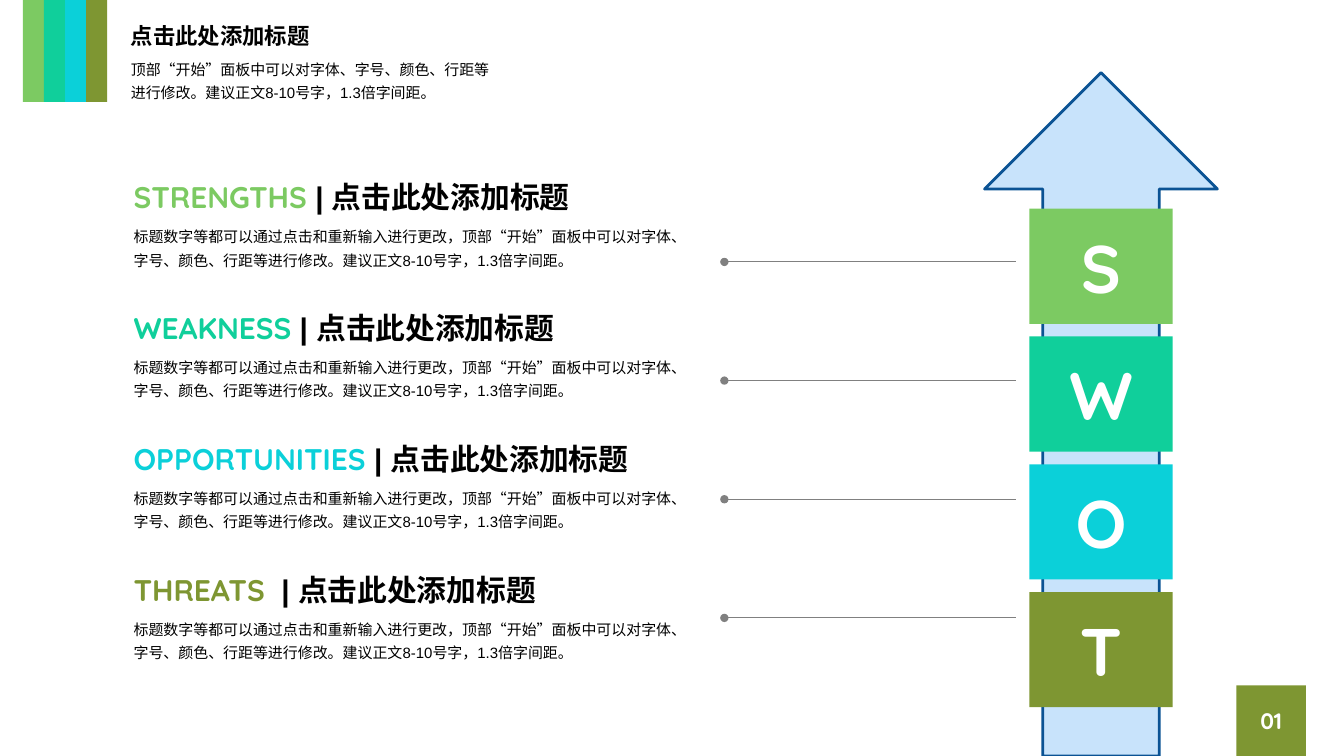
from lxml import etree
from pptx import Presentation
from pptx.dml.color import RGBColor
from pptx.enum.lang import MSO_LANGUAGE_ID as LANG
from pptx.enum.shapes import MSO_CONNECTOR, MSO_SHAPE
from pptx.enum.text import MSO_ANCHOR, PP_ALIGN
from pptx.oxml.ns import qn
from pptx.util import Cm, Pt

BLACK, WHITE, GREY = "000000", "FFFFFF", "808080"
ARROW_FILL, ARROW_LINE = "C8E3FB", "0B5394"
LATIN, BODY = "Quicksand", "Arial"
TITLE = "点击此处添加标题"
INTRO = "顶部“开始”面板中可以对字体、字号、颜色、行距等进行修改。建议正文8-10号字，1.3倍字间距。"
DETAIL = "标题数字等都可以通过点击和重新输入进行更改，" + INTRO

# letter, label, separator, colour
SWOT = [
    ("S", "STRENGTHS ", "| ", "7CCA62"),
    ("W", "WEAKNESS", " | ", "10CF9B"),
    ("O", "OPPORTUNITIES ", "| ", "0BD0D9"),
    ("T", "THREATS ", " | ", "7E9632"),
]
COLORS = [item[-1] for item in SWOT]


def rgb(value):
    return RGBColor.from_string(value)


def add_run(p, text, size, font, color, bold=False):
    r = p.add_run()
    r.text = text
    r.font.size, r.font.name, r.font.bold = Pt(size), font, bold
    r.font.color.rgb = rgb(color)
    r.font.language_id = LANG.SIMPLIFIED_CHINESE if font == BODY else LANG.ENGLISH_US


def add_shape(s, kind, x, y, w, h, fill, line=None):
    sp = s.shapes.add_shape(kind, Cm(x), Cm(y), Cm(w), Cm(h))
    sp.shadow.inherit = False
    sp.fill.solid()
    sp.fill.fore_color.rgb = rgb(fill)
    if line:
        sp.line.color.rgb = rgb(line)
        sp.line.width = Pt(2)
    else:
        sp.line.fill.background()
    return sp


def add_tile(s, x, y, w, h, fill, text, size):
    sp = add_shape(s, MSO_SHAPE.RECTANGLE, x, y, w, h, fill)
    tf = sp.text_frame
    tf.vertical_anchor = MSO_ANCHOR.MIDDLE
    p = tf.paragraphs[0]
    p.alignment = PP_ALIGN.CENTER
    add_run(p, text, size, LATIN, WHITE, bold=True)


def add_text(s, x, y, w, h, runs, spacing=None):
    tf = s.shapes.add_textbox(Cm(x), Cm(y), Cm(w), Cm(h)).text_frame
    tf.word_wrap = True
    p = tf.paragraphs[0]
    if spacing:
        p.line_spacing = spacing
    for run in runs:
        add_run(p, *run)


def add_pointer(s, x, y, w):
    line = s.shapes.add_connector(MSO_CONNECTOR.STRAIGHT, Cm(x), Cm(y), Cm(x + w), Cm(y))
    line.line.color.rgb = rgb(GREY)
    line.line.width = Pt(0.75)
    etree.SubElement(line.line._get_or_add_ln(), qn("a:headEnd"), type="oval")
    etree.SubElement(line._element.spPr, qn("a:effectLst"))


def header(s, x, y, w, h):
    # Colour stripes
    stripe = 0.53
    for i, color in enumerate(COLORS):
        add_shape(s, MSO_SHAPE.RECTANGLE, x + i * stripe, y, stripe, h, color)
    # Title and introduction
    text_x = x + 2.47
    add_text(s, text_x, y + 0.48, 5.8, 0.86, [(TITLE, 16, BODY, BLACK, True)])
    add_text(s, text_x, y + 1.32, w - 2.47, 1.3, [(INTRO, 10.7, BODY, BLACK)], 1.3)


def descriptions(s, x, y, w, h):
    pitch = h / len(SWOT)
    for i, (_, label, bar, color) in enumerate(SWOT):
        top = y + i * pitch
        heading = [(label, 21.3, LATIN, color, True), (bar + TITLE, 21.3, BODY, BLACK, True)]
        add_text(s, x, top, w, 1.17, heading)
        add_text(s, x, top + 1.09, w, 1.45, [(DETAIL, 10.7, BODY, BLACK)], 1.3)


def pointers(s, x, y, w, h):
    for i in range(len(SWOT)):
        add_pointer(s, x, y + i * h / (len(SWOT) - 1), w)


def swot_arrow(s, x, y, w, h):
    add_shape(s, MSO_SHAPE.UP_ARROW, x, y, w, h, ARROW_FILL, ARROW_LINE)
    # Letter tiles centred on the shaft
    tile_w, tile_h, gap = 3.61, 2.9, 0.32
    for i, (letter, _, _, color) in enumerate(SWOT):
        top = y + 3.43 + i * (tile_h + gap)
        add_tile(s, x + (w - tile_w) / 2, top, tile_w, tile_h, color, letter, 48)


def page_number(s, x, y, w, h):
    add_tile(s, x, y, w, h, COLORS[-1], "01", 16)


def main():
    prs = Presentation()
    prs.slide_width, prs.slide_height = Cm(33.88), Cm(19.05)
    s = prs.slides.add_slide(prs.slide_layouts[6])
    header(s, 0.58, -0.05, 12.07, 2.62)
    page_number(s, 31.17, 17.27, 1.75, 1.78)
    swot_arrow(s, 24.82, 1.83, 5.87, 17.22)
    descriptions(s, 3.12, 4.39, 14.12, 13.18)
    pointers(s, 18.26, 6.6, 7.34, 8.97)
    prs.save("out.pptx")


if __name__ == "__main__":
    main()
